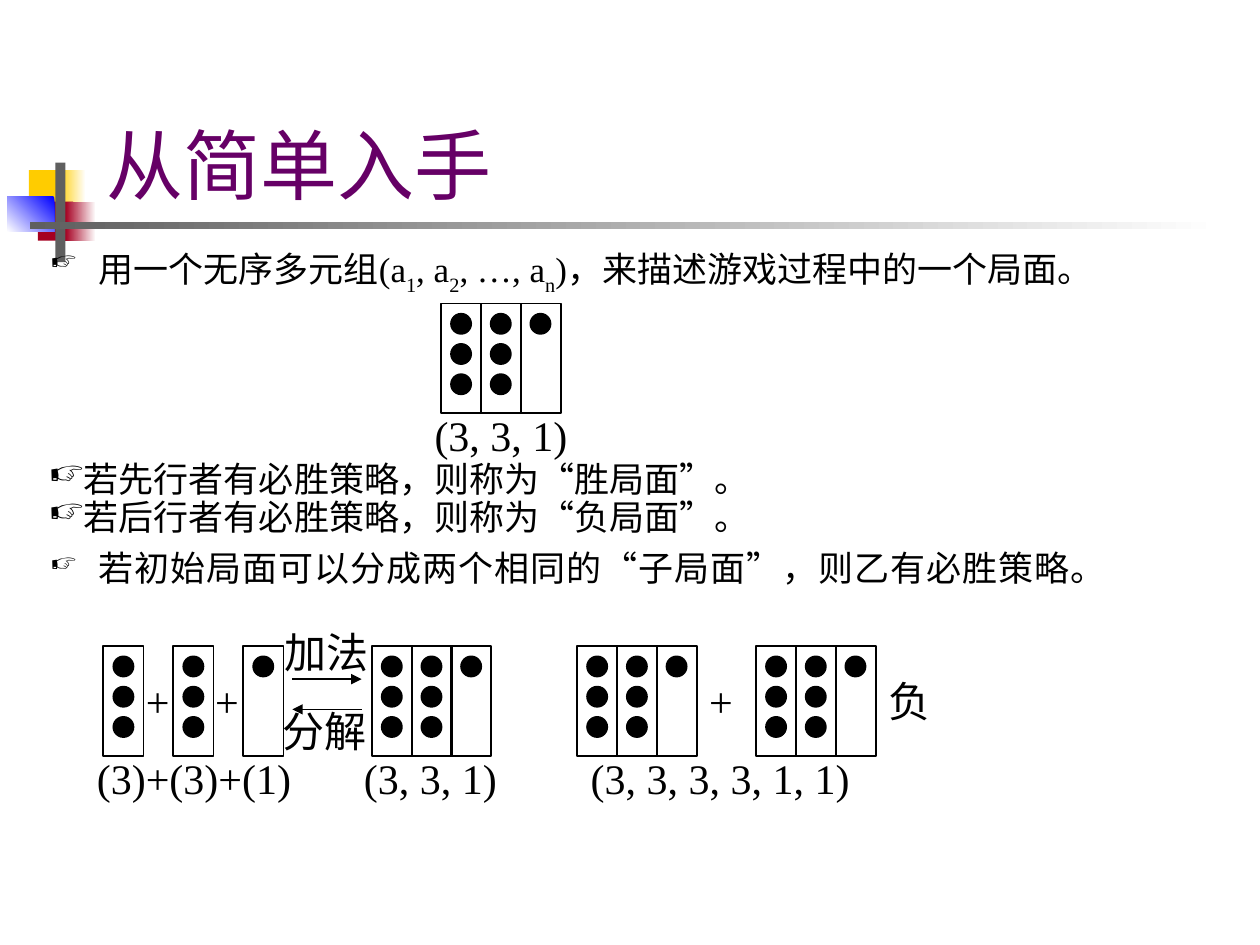
"""Builds the slide on splitting piles into winning and losing positions."""
from lxml import etree
from pptx import Presentation
from pptx.dml.color import RGBColor
from pptx.enum.shapes import MSO_CONNECTOR, MSO_SHAPE
from pptx.enum.text import MSO_ANCHOR, PP_ALIGN
from pptx.oxml.ns import qn
from pptx.util import Inches, Pt

RECT, OVAL = MSO_SHAPE.RECTANGLE, MSO_SHAPE.OVAL
STRAIGHT = MSO_CONNECTOR.STRAIGHT
TOP, MIDDLE = MSO_ANCHOR.TOP, MSO_ANCHOR.MIDDLE
LEFT, JUSTIFY = PP_ALIGN.LEFT, PP_ALIGN.JUSTIFY

BLACK = RGBColor(0x00, 0x00, 0x00)
WHITE = RGBColor(0xFF, 0xFF, 0xFF)
PURPLE = RGBColor(0x66, 0x00, 0x66)
YELLOW = RGBColor(0xFF, 0xCC, 0x00)
RED = RGBColor(0xA5, 0x00, 0x21)
BLUE = RGBColor(0x00, 0x00, 0xFF)
GREY = RGBColor(0x5F, 0x5F, 0x5F)

prs = Presentation()
prs.slide_width, prs.slide_height = Inches(10), Inches(7.5)
COL, ROW = prs.slide_width / 10, prs.slide_height / 7.5
s = prs.slides.add_slide(prs.slide_layouts[6])


def add_shape(kind, x, y, w, h, fill=None, fade=None, angle=180, line=None):
    """Adds a preset shape, plain, faded between two colours or outlined."""
    sp = s.shapes.add_shape(kind, int(x * COL), int(y * ROW), int(w * COL), int(h * ROW))
    sp.shadow.inherit = False
    if fade:
        sp.fill.gradient()
        sp.fill.gradient_angle = angle
        for stop, color, pos in zip(sp.fill.gradient_stops, fade, (0, 1)):
            stop.color.rgb, stop.position = color, pos
    elif fill is not None:
        sp.fill.solid()
        sp.fill.fore_color.rgb = fill
    else:
        sp.fill.background()
    if line is not None:
        sp.line.color.rgb, sp.line.width = line, Pt(1)
    else:
        sp.line.fill.background()


def add_text(paras, x, y, w, h, size=24, font="Times New Roman", color=BLACK,
             align=LEFT, anchor=TOP, inset=0.1, spacing=None, bullet=None, hang=0):
    """Adds a text box; each paragraph is a list of (text, is subscript) runs or a string."""
    tf = s.shapes.add_textbox(int(x * COL), int(y * ROW), int(w * COL), int(h * ROW)).text_frame
    tf.word_wrap, tf.vertical_anchor = True, anchor
    tf.margin_left = tf.margin_right = Inches(inset)
    for i, runs in enumerate(paras):
        p = tf.paragraphs[0] if i == 0 else tf.add_paragraph()
        if bullet:
            pPr = p._p.get_or_add_pPr()
            pPr.set("marL", str(Inches(hang)))
            pPr.set("indent", str(-Inches(hang)))
            etree.SubElement(pPr, qn("a:buSzPct")).set("val", str(bullet * 1000))
            etree.SubElement(pPr, qn("a:buChar")).set("char", "☞")
        p.alignment = align
        p.space_before = Pt(5 if i else 0)
        if spacing:
            p.line_spacing = spacing
        for text, sub in [(runs, False)] if isinstance(runs, str) else runs:
            r = p.add_run()
            r.text = text
            r.font.name, r.font.size, r.font.color.rgb = font, Pt(size), color
            if sub:
                r._r.get_or_add_rPr().set("baseline", "-30000")


add_shape(RECT, 0.23, 1.35, 0.29, 0.31, fill=YELLOW)
add_shape(RECT, 0.46, 1.35, 0.22, 0.31, fade=(WHITE, YELLOW))
add_shape(RECT, 0.3, 1.6, 0.28, 0.31, fill=RED)
add_shape(RECT, 0.52, 1.6, 0.24, 0.31, fade=(WHITE, RED))
add_shape(RECT, 0.06, 1.56, 0.37, 0.28, fade=(BLUE, WHITE), angle=225)
add_shape(RECT, 0.44, 1.29, 0.08, 0.79, fill=GREY)
add_shape(RECT, 0.24, 1.76, 9.45, 0.06, fade=(WHITE, GREY))

add_text(["从简单入手"], 0.75, 0.67, 8.84, 1.25, size=44, font="Arial", color=PURPLE, anchor=MIDDLE)

body = dict(size=20, align=JUSTIFY, spacing=0.7)
tuple_runs = [("用一个无序多元组(a", False), ("1", True), (", a", False), ("2", True),
              (", …, a", False), ("n", True), (")，来描述游戏过程中的一个局面。", False)]
add_text([tuple_runs], 0.2, 1.97, 8.98, 0.44, inset=0.2, bullet=75, hang=0.38, **body)
add_text(["若先行者有必胜策略，则称为“胜局面”。", "若后行者有必胜策略，则称为“负局面”。"],
         0.29, 3.67, 8.33, 0.64, bullet=100, **body)
add_text(["若初始局面可以分成两个相同的“子局面”，则乙有必胜策略。"],
         0.2, 4.38, 8.5, 0.37, inset=0.2, bullet=75, hang=0.38, **body)

PILE_W, PILE_H, DOT, DOT_GAP = 0.32, 0.87, 0.16, 0.24
TOP_ROW, LOW_ROW = 2.41, 5.13
PILES = (3, 3, 1)
groups = [(3.5, TOP_ROW, 0.315), (0.82, LOW_ROW, 0.555), (2.95, LOW_ROW, 0.315),
          (4.58, LOW_ROW, 0.315), (6, LOW_ROW, 0.315)]
for left, top, pitch in groups:
    for i, count in enumerate(PILES):
        x = left + i * pitch
        for j in range(count):
            add_shape(OVAL, x + 0.08, top + 0.08 + j * DOT_GAP, DOT, DOT, fill=BLACK, line=BLACK)
        add_shape(RECT, x, top, PILE_W, PILE_H, line=BLACK)

labels = [("(3, 3, 1)", 3.35, TOP_ROW + 0.79, 1.58), ("(3)+(3)+(1)", 0.67, LOW_ROW + 0.79, 1.81),
          ("(3, 3, 1)", 2.79, LOW_ROW + 0.79, 1.58), ("(3, 3, 3, 3, 1, 1)", 4.59, LOW_ROW + 0.79, 2.36),
          ("+", 1.06, LOW_ROW + 0.18, 0.31), ("+", 1.61, LOW_ROW + 0.18, 0.31),
          ("+", 5.53, LOW_ROW + 0.18, 0.31), ("负", 6.95, LOW_ROW + 0.18, 1.1),
          ("加法", 2.16, LOW_ROW - 0.21, 0.89), ("分解", 2.14, LOW_ROW + 0.42, 0.89)]
for text, x, y, w in labels:
    add_text([text], x, y, w, 0.5)

for x1, x2, y in [(2.32, 2.87, 5.39), (2.87, 2.32, 5.63)]:
    c = s.shapes.add_connector(STRAIGHT, int(x1 * COL), int(y * ROW), int(x2 * COL), int(y * ROW))
    c.line.color.rgb, c.line.width = BLACK, Pt(1)
    etree.SubElement(c.line._get_or_add_ln(), qn("a:tailEnd")).set("type", "triangle")
    etree.SubElement(c._element.spPr, qn("a:effectLst"))

prs.save("out.pptx")
